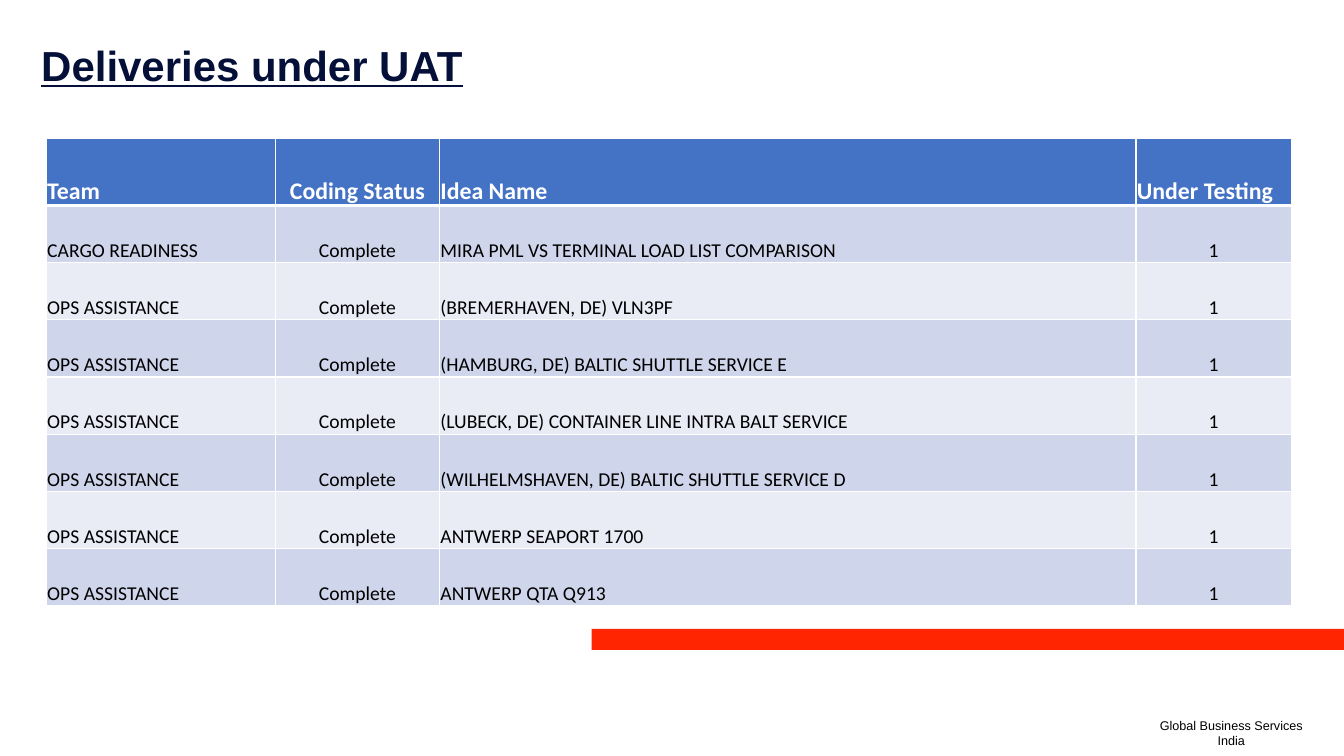
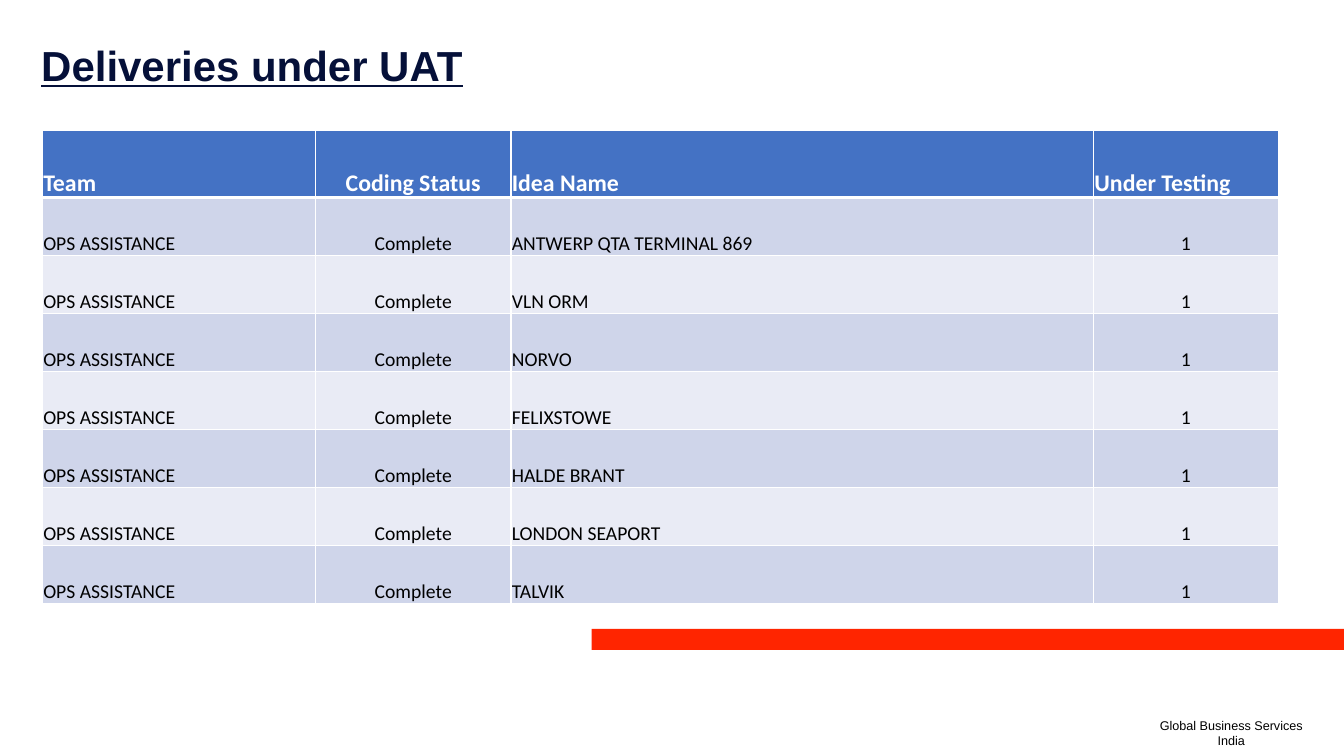
from lxml.etree import SubElement
from pptx import Presentation
from pptx.dml.color import RGBColor
from pptx.enum.shapes import MSO_SHAPE
from pptx.enum.text import MSO_ANCHOR, PP_ALIGN
from pptx.oxml.ns import qn
from pptx.util import Cm, Pt

NAVY = RGBColor(0x05, 0x10, 0x39)
RED = RGBColor(0xFF, 0x25, 0x00)
BLUE = RGBColor(0x44, 0x72, 0xC4)
STRIPES = RGBColor(0xCF, 0xD5, 0xEA), RGBColor(0xE9, 0xEB, 0xF5)
WHITE = RGBColor(0xFF, 0xFF, 0xFF)
BLACK = RGBColor(0x00, 0x00, 0x00)

TITLE_BOX = 0.79, 1.02, 32, 2.46
BAND_BOX = 14.91, 15.85, 18.96, 0.53
FOOTER_BOX = 28.96, 17.96, 4.14, 1.02
HEADER_HEIGHT = 1.7
HEADINGS = "Team", "Coding Status", "Idea Name", "Under Testing"
OPS = "OPS ASSISTANCE"


def lengths(box):
    return [Cm(value) for value in box]


def add_span(para, text, size, color, font="Arial", bold=False):
    span = para.add_run()
    span.text = text
    span.font.name = font
    span.font.size = Pt(size)
    span.font.bold = bold
    span.font.color.rgb = color
    return span


# Title, band and footer shared by the slides
def add_title(slide, box, text):
    frame = slide.shapes.add_textbox(*lengths(box)).text_frame
    frame.word_wrap = True
    para = frame.paragraphs[0]
    para.line_spacing = 0.9
    add_span(para, text, 30, NAVY, bold=True).font.underline = True


def add_band(slide, box):
    band = slide.shapes.add_shape(MSO_SHAPE.RECTANGLE, *lengths(box))
    band.shadow.inherit = False
    band.fill.solid()
    band.fill.fore_color.rgb = RED
    band.line.fill.background()


def add_footer(slide, box, lines):
    frame = slide.shapes.add_textbox(*lengths(box)).text_frame
    frame.word_wrap = True
    frame.margin_left = frame.margin_right = 0
    for index, line in enumerate(lines):
        para = frame.add_paragraph() if index else frame.paragraphs[0]
        para.alignment = PP_ALIGN.CENTER
        add_span(para, line, 9, BLACK)


# Table of deliveries
def add_borders(cell, top, bottom):
    properties = cell._tc.get_or_add_tcPr()
    for side, width in zip("LRTB", (1, 1, top, bottom)):
        line = SubElement(properties, qn(f"a:ln{side}"), w=str(Pt(width)))
        fill = SubElement(line, qn("a:solidFill"))
        SubElement(fill, qn("a:srgbClr"), val=str(WHITE))


def fill_cell(cell, text, row, centered):
    header = row == 0
    add_borders(cell, top=3 if row == 1 else 1, bottom=3 if header else 1)
    cell.fill.solid()
    cell.fill.fore_color.rgb = BLUE if header else STRIPES[(row - 1) % 2]
    cell.vertical_anchor = MSO_ANCHOR.BOTTOM
    cell.margin_left = cell.margin_right = cell.margin_top = Cm(0.02)
    cell.margin_bottom = 0
    para = cell.text_frame.paragraphs[0]
    para.alignment = PP_ALIGN.CENTER if centered else PP_ALIGN.LEFT
    size, color = (17, WHITE) if header else (14, BLACK)
    add_span(para, text, size, color, "Calibri", header)


def add_deliveries(slide, left, top, widths, row_height, deliveries):
    rows = [HEADINGS]
    rows += [(team, "Complete", idea, "1") for team, idea in deliveries]
    height = HEADER_HEIGHT + row_height * len(deliveries)
    box = left, top, sum(widths), height
    table = slide.shapes.add_table(
        len(rows), len(HEADINGS), *lengths(box)).table
    for column, width in zip(table.columns, widths):
        column.width = Cm(width)
    for row, texts in enumerate(rows):
        table.rows[row].height = Cm(row_height if row else HEADER_HEIGHT)
        for column, text in enumerate(texts):
            centered = column == 1 or (column == 3 and row > 0)
            fill_cell(table.cell(row, column), text, row, centered)


def add_delivery_slide(deck, **table):
    slide = deck.slides.add_slide(deck.slide_layouts[6])
    add_band(slide, BAND_BOX)
    add_footer(slide, FOOTER_BOX, ("Global Business Services", "India"))
    add_title(slide, TITLE_BOX, "Deliveries under UAT")
    add_deliveries(slide, **table)


deck = Presentation()
deck.slide_width, deck.slide_height = Cm(33.87), Cm(19.05)

add_delivery_slide(
    deck, left=1.17, top=3.48, widths=(5.77, 4.14, 17.55, 3.91),
    row_height=1.44,
    deliveries=[
        ("CARGO READINESS", "MIRA PML VS TERMINAL LOAD LIST COMPARISON"),
        (OPS, "(BREMERHAVEN, DE) VLN3PF"),
        (OPS, "(HAMBURG, DE) BALTIC SHUTTLE SERVICE E"),
        (OPS, "(LUBECK, DE) CONTAINER LINE INTRA BALT SERVICE"),
        (OPS, "(WILHELMSHAVEN, DE) BALTIC SHUTTLE SERVICE D"),
        (OPS, "ANTWERP SEAPORT 1700"),
        (OPS, "ANTWERP QTA Q913"),
    ])

ideas = ("ANTWERP QTA TERMINAL 869", "VLN ORM", "NORVO", "FELIXSTOWE",
         "HALDE BRANT", "LONDON SEAPORT", "TALVIK")
add_delivery_slide(
    deck, left=1.07, top=3.28, widths=(6.88, 4.93, 14.68, 4.65),
    row_height=1.46, deliveries=[(OPS, idea) for idea in ideas])

deck.save("out.pptx")
